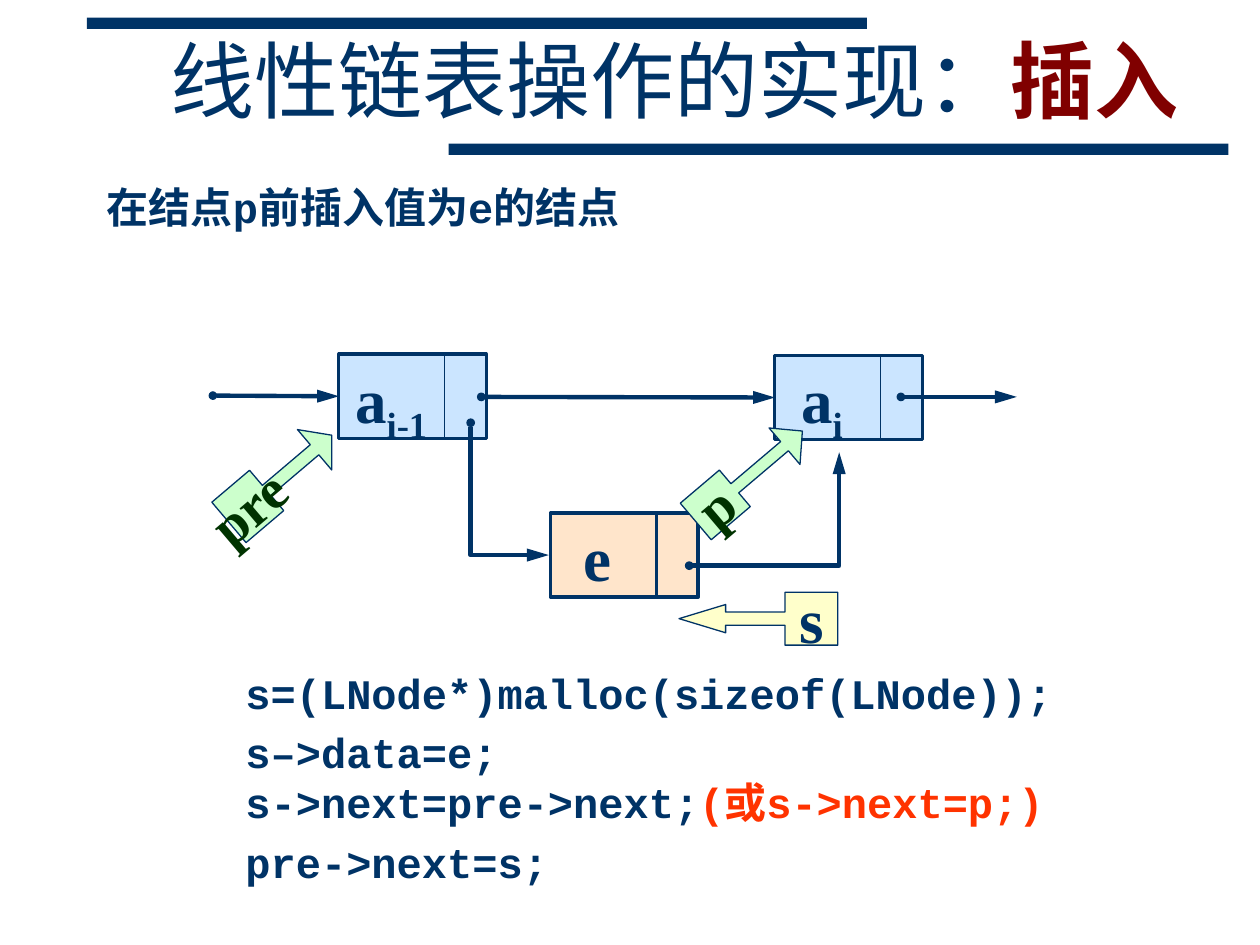
from pptx import Presentation
from pptx.dml.color import RGBColor
from pptx.enum.shapes import MSO_CONNECTOR as LINK, MSO_SHAPE as SHAPE
from pptx.enum.text import MSO_ANCHOR as ANCHOR, MSO_AUTO_SIZE as FIT, PP_ALIGN as ALIGN
from pptx.oxml.ns import qn
from pptx.util import Inches, Pt
from lxml.etree import SubElement

THEME = {
    "navy": "003366", "maroon": "800000", "green": "003300", "red": "FF3300",
    "peach": "FFCC99", "sky": "99CCFF", "mint": "CCFFCC", "lemon": "FFFF99",
    "cjk": "Noto Sans CJK JP",
    "title": {"size": Pt(48), "name": "Noto Sans CJK JP", "bold": False},
    "accent": {"size": Pt(48), "name": "Arial", "bold": True},
    "node": {"size": Pt(36), "name": "Times New Roman", "bold": True},
    "pointer": {"size": Pt(32), "name": "Times New Roman", "bold": True},
    "code": {"size": Pt(24), "name": "Courier New", "bold": True},
}

BARS = [(0.69, 0.14), (3.56, 1.14)]
TITLE = [("线性链表操作的实现：", "title", "navy"), ("插入", "accent", "maroon")]
NODE_SIZE = (1.17, 0.67)
DIVIDER = 0.84
NODES = {
    "e": (4.37, 4.07, "peach", 2, 2),
    "previous": (2.69, 2.81, "sky", 1.75, 0.75),
    "current": (6.15, 2.82, "sky", 1.75, 0.75),
}
LINKS = [
    ((1.69, 3.14), (2.69, 3.14), "previous"),
    ((3.82, 3.15), (6.15, 3.15), "current"),
    ((7.15, 3.15), (8.07, 3.15), None),
]
BENT_LINKS = [
    ((4.57, 3.57), (3.52, 4.19), 270),
    ((5.47, 4.49), (6.66, 3.59), 0),
]
POINTERS = [
    ("s", (5.39, 4.7, 1.26, 0.42), (0.25, 0.267, 0.88, 0.333), "lemon", "navy", "node", True),
    ("pre", (1.69, 3.59, 1.07, 0.42), (0.25, 0.5, 0.425, 0.367), "mint", "green", "pointer", False),
    ("p", (5.39, 3.59, 1.11, 0.38), (0.25, 0.5, 0.489, 0.367), "mint", "green", "pointer", False),
]
POINTER_TILT = 319.7
LABELS = [
    ("a", "i-1", (2.72, 2.81, 0.82, 0.7)),
    ("a", "i", (6.26, 2.81, 0.54, 0.7)),
    ("e", "", (4.53, 4.07, 0.42, 0.7)),
]
TEXTS = [
    ([("在结点p前插入值为e的结点", "code", "navy")], (0.75, 1.39, 5.28, 0.5), True, 0),
    ([("s=(LNode*)malloc(sizeof(LNode));", "code", "navy")], (0.35, 5.25, 8.17, 0.5), True, 3),
    ([("s–>data=e;", "code", "navy")], (0.35, 5.72, 6.54, 0.5), True, 3),
    ([("s->next=pre->next;", "code", "navy"), ("(或s->next=p;)", "code", "red")],
     (0.35, 6.11, 8.23, 0.5), False, 3),
    ([("pre->next=s;", "code", "navy")], (1.85, 6.59, 2.6, 0.5), False, 0),
]


def color(name):
    return RGBColor.from_string(THEME[name])


def inches(values):
    return [Inches(value) for value in values]


def write(paragraph, text, style, tint):
    run = paragraph.add_run()
    run.text = text
    for key, value in THEME[style].items():
        setattr(run.font, key, value)
    run.font.color.rgb = color(tint)
    SubElement(run.font._element, qn("a:ea")).set("typeface", THEME["cjk"])
    return run


def add_text(slide, runs, box, wrap, level=0, fit=FIT.SHAPE_TO_FIT_TEXT):
    frame = slide.shapes.add_textbox(*inches(box)).text_frame
    frame.word_wrap = wrap
    frame.auto_size = fit
    paragraph = frame.paragraphs[0]
    paragraph.level = level
    paragraph._p.get_or_add_pPr().set("marL", str(Inches(0.5 * level)))
    for run in runs:
        write(paragraph, *run)
    return frame


def add_block(slide, kind, box, fill, line_width=0, opacity=100):
    block = slide.shapes.add_shape(kind, *inches(box))
    block.shadow.inherit = False
    block.fill.solid()
    block.fill.fore_color.rgb = color(fill)
    if opacity < 100:
        tint = block._element.spPr.find(qn("a:solidFill"))[0]
        SubElement(tint, qn("a:alpha")).set("val", str(opacity * 1000))
    if line_width:
        block.line.color.rgb = color("navy")
        block.line.width = Pt(line_width)
    else:
        block.line.fill.background()
    return block


def add_line(slide, start, end, width, kind=LINK.STRAIGHT, arrow=False):
    line = slide.shapes.add_connector(kind, *inches(start + end))
    line.line.color.rgb = color("navy")
    line.line.width = Pt(width)
    if arrow:
        stroke = line.line._get_or_add_ln()
        for tag, shape, breadth, length in (("a:headEnd", "oval", "sm", "sm"),
                                            ("a:tailEnd", "triangle", "med", "lg")):
            tip = SubElement(stroke, qn(tag))
            for key, value in {"type": shape, "w": breadth, "len": length}.items():
                tip.set(key, value)
    SubElement(line._element.spPr, qn("a:effectLst"))
    return line


def add_node(slide, left, top, fill, border, divider_width):
    width, height = NODE_SIZE
    node = add_block(slide, SHAPE.RECTANGLE, (left, top, width, height), fill, border, 50)
    split = left + DIVIDER
    add_line(slide, (split, top), (split, top + height), divider_width)
    return node


def add_bent_link(slide, start, end, turn):
    link = add_line(slide, start, end, 2.5, LINK.ELBOW, True)
    properties = link._element.spPr
    properties.find(qn("a:prstGeom")).set("prst", "bentConnector2")
    properties.find(qn("a:xfrm")).set("rot", str(turn * 60000))


def add_pointer(slide, text, box, proportions, fill, tint, style, mirrored):
    pointer = add_block(slide, SHAPE.RIGHT_ARROW_CALLOUT, box, fill, 0.75,
                        50 if mirrored else 100)
    for index, value in enumerate(proportions):
        pointer.adjustments[index] = value
    if mirrored:
        pointer._element.spPr.find(qn("a:xfrm")).set("flipH", "1")
    else:
        pointer.rotation = POINTER_TILT
    frame = pointer.text_frame
    frame.word_wrap = False
    frame.vertical_anchor = ANCHOR.MIDDLE
    frame.paragraphs[0].alignment = ALIGN.CENTER
    write(frame.paragraphs[0], text, style, tint)


def main():
    deck = Presentation()
    deck.slide_width, deck.slide_height = inches((10, 7.5))
    slide = deck.slides.add_slide(deck.slide_layouts[6])

    for left, top in BARS:
        add_block(slide, SHAPE.RECTANGLE, (left, top, 6.19, 0.09), "navy")
    heading = add_text(slide, TITLE, (1.14, 0.19, 8.43, 1), True, fit=FIT.NONE)
    heading.vertical_anchor = ANCHOR.MIDDLE
    heading.paragraphs[0].alignment = ALIGN.CENTER
    heading.paragraphs[0].line_spacing = 0.85

    nodes = {name: add_node(slide, *node) for name, node in NODES.items()}
    for start, end, target in LINKS:
        link = add_line(slide, start, end, 2.5, arrow=True)
        if target:
            link.end_connect(nodes[target], 1)
    for bend in BENT_LINKS:
        add_bent_link(slide, *bend)
    for base, subscript, box in LABELS:
        frame = add_text(slide, [(base, "node", "navy")], box, False)
        if subscript:
            index = write(frame.paragraphs[0], subscript, "node", "navy")
            index.font._element.set("baseline", "-25000")
    for pointer in POINTERS:
        add_pointer(slide, *pointer)
    for text in TEXTS:
        add_text(slide, *text)

    deck.save("out.pptx")


if __name__ == "__main__":
    main()
